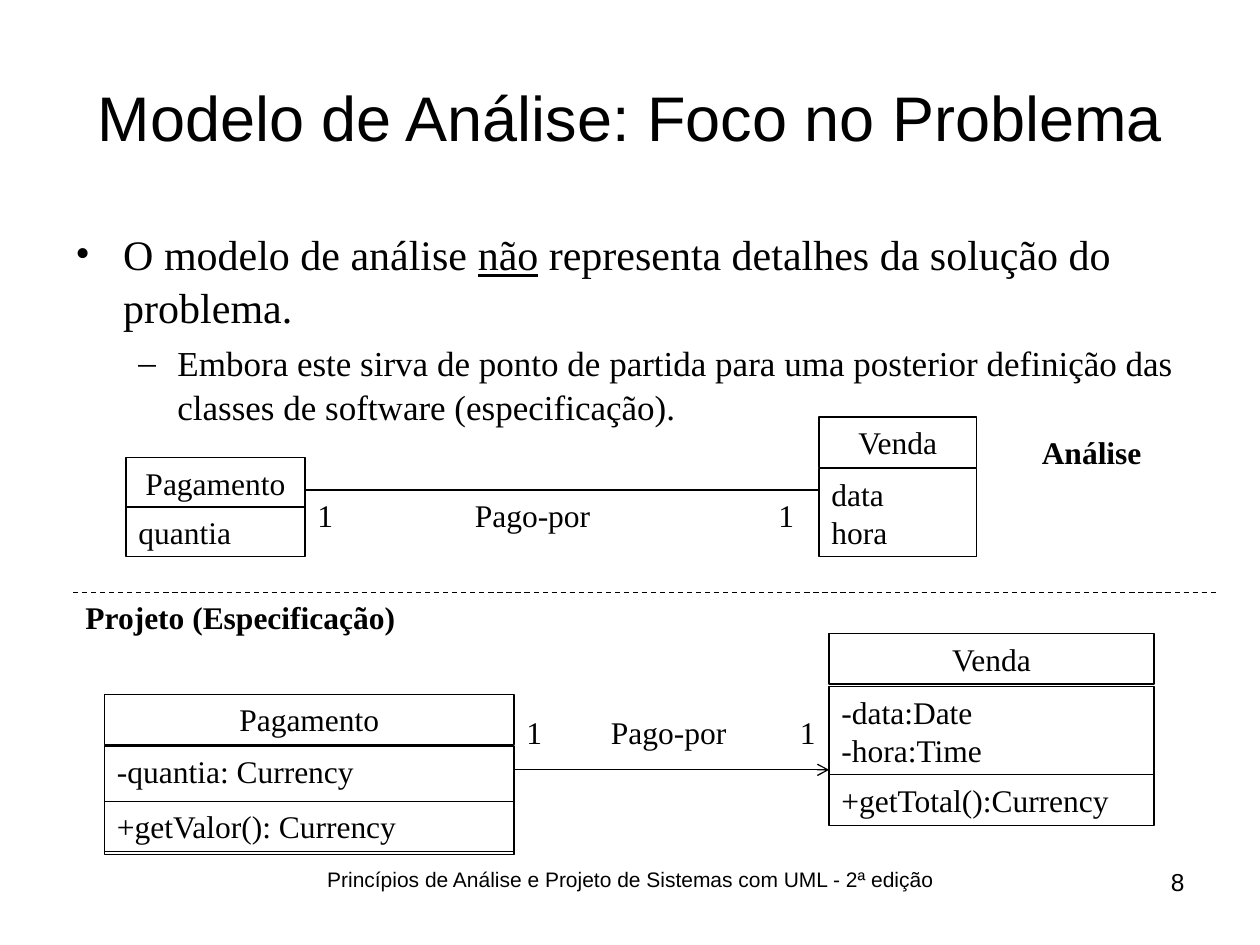
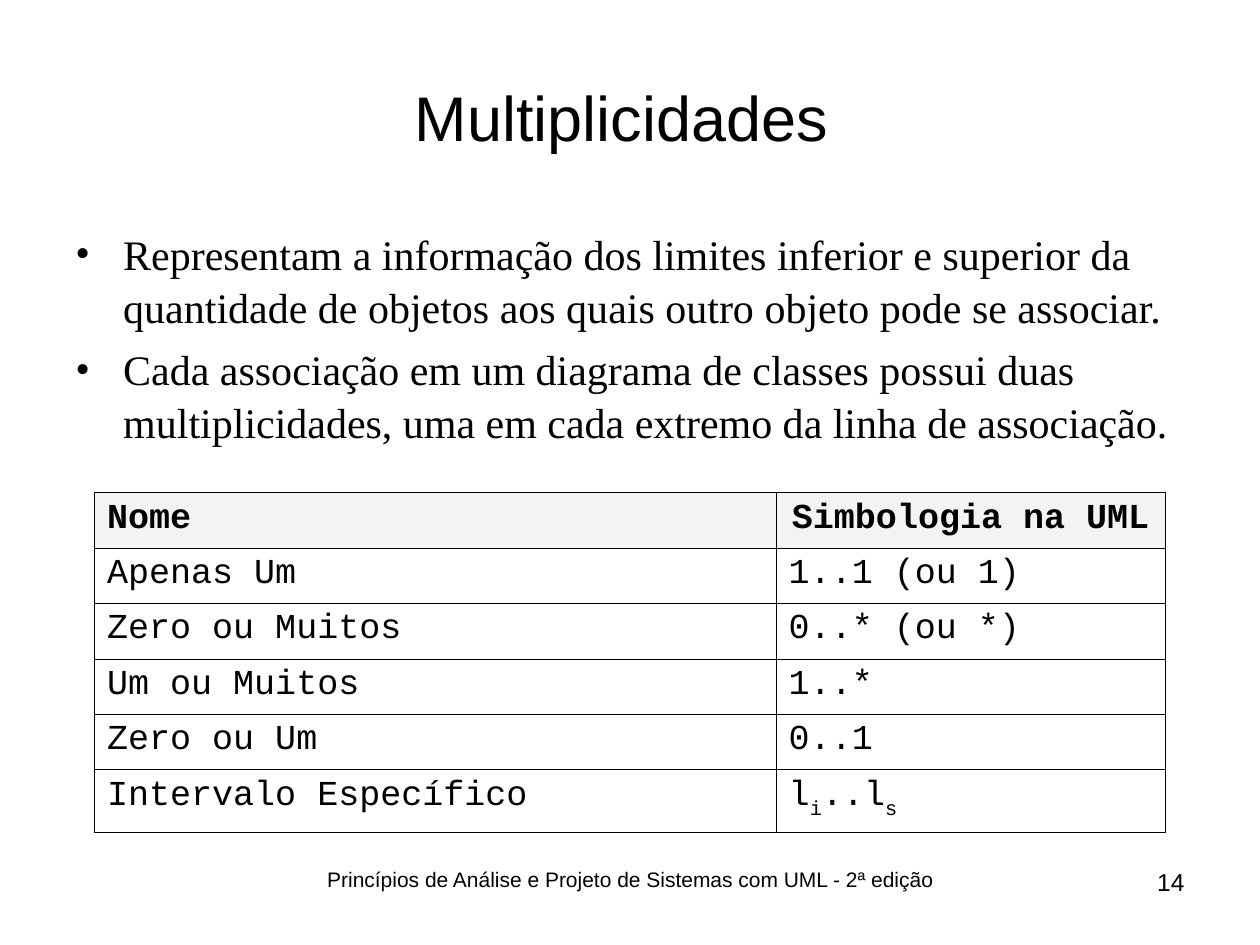
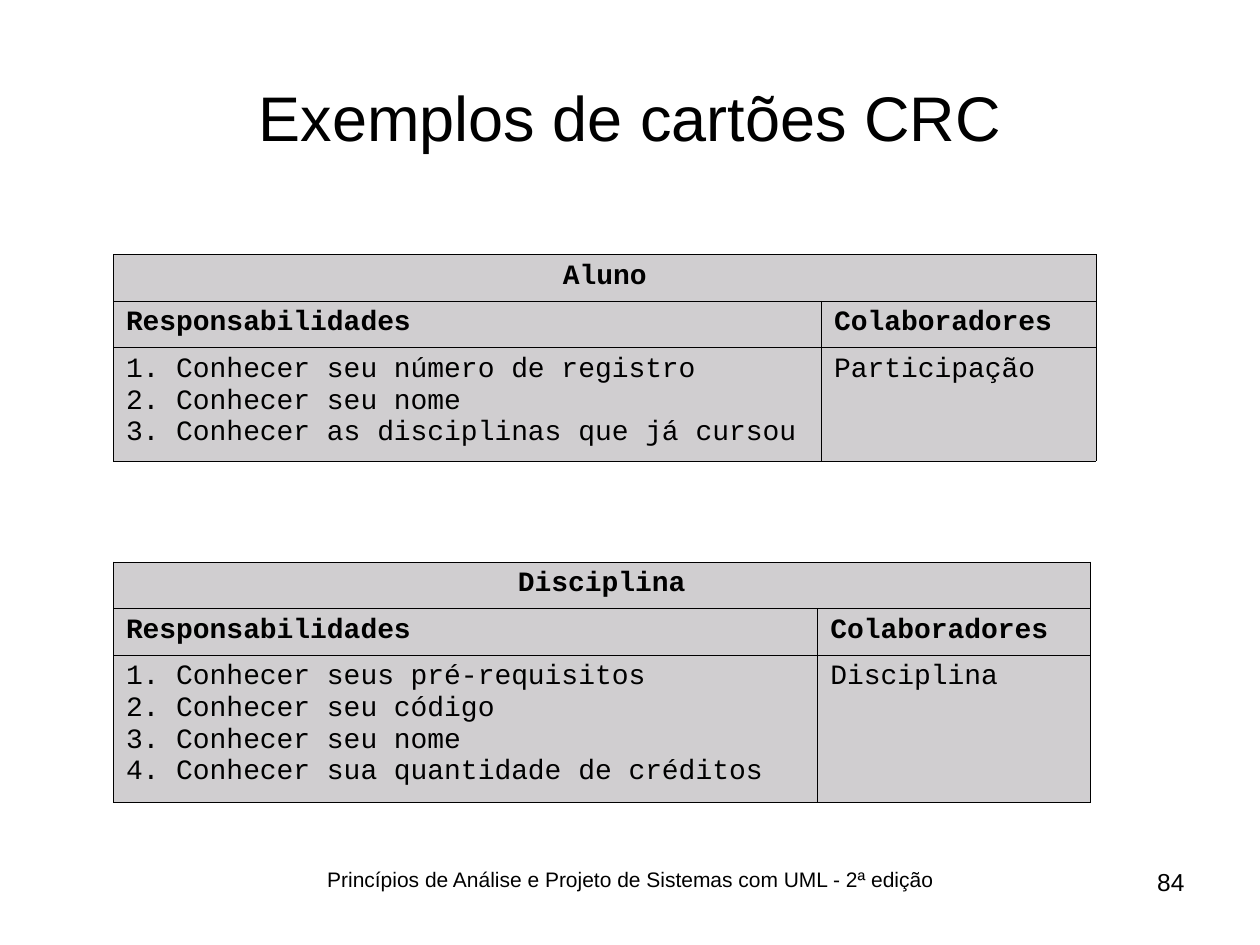
from dataclasses import dataclass, field
from typing import NamedTuple

from lxml.etree import SubElement
from pptx import Presentation
from pptx.dml.color import RGBColor
from pptx.enum.dml import MSO_LINE
from pptx.enum.shapes import MSO_CONNECTOR, MSO_SHAPE
from pptx.enum.text import MSO_ANCHOR, MSO_AUTO_SIZE, PP_ALIGN
from pptx.oxml import parse_xml
from pptx.oxml.ns import nsdecls, qn
from pptx.util import Inches, Pt

BLACK = RGBColor(0x00, 0x00, 0x00)
HEADER_GREY = RGBColor(0xF3, 0xF3, 0xF3)
CARD_GREY = RGBColor(0xD0, 0xCE, 0xD0)

TITLE = {"name": "Arial", "size": Pt(36)}
FOOTER = {"name": "Arial", "size": Pt(12)}
PAGE_NUMBER = {"name": "Arial", "size": Pt(14)}
DIAGRAM = {"name": "Times New Roman", "size": Pt(18)}
HEADING = DIAGRAM | {"bold": True}
TABLE = {"name": "Courier New", "size": Pt(20), "bold": False}
CARD = TABLE | {"size": Pt(16)}

FOOTER_TEXT = "Princípios de Análise e Projeto de Sistemas com UML - 2ª edição"
LINE_WIDTH = Pt(0.75)
LABEL_HEIGHT = 0.4


class Span(NamedTuple):
    text: str
    underline: bool = False
    subscript: bool = False


class Level(NamedTuple):
    bullet: str
    indent: float
    hanging: float
    space: float
    style: dict


TOPIC = Level("•", 0.38, 0.38, 6, {"name": "Times New Roman", "size": Pt(24)})
DETAIL = Level("–", 0.81, 0.31, 5, {"name": "Times New Roman", "size": Pt(20)})


class Section(NamedTuple):
    top: float
    height: float
    lines: list


class ClassBox(NamedTuple):
    """The first section holds the class name, the others its members."""
    left: float
    width: float
    sections: list


class Label(NamedTuple):
    text: str
    left: float
    top: float
    width: float
    style: dict = DIAGRAM


class Link(NamedTuple):
    left: float
    right: float
    y: float
    arrow: bool = False
    dashed: bool = False


@dataclass
class Card:
    name: str
    top: float
    columns: list
    duties: list
    partner: str
    row_heights: list = field(default_factory=list)


# Text
def write_spans(para, spans: list, style: dict) -> None:
    for item in spans:
        part = item if isinstance(item, Span) else Span(item)
        span = para.add_run()
        span.text = part.text
        for key, value in style.items():
            setattr(span.font, key, value)
        span.font.color.rgb = BLACK
        if part.underline:
            span.font.underline = True
        if part.subscript:
            span._r.get_or_add_rPr().set("baseline", "-30000")


def prepare_frame(frame) -> None:
    frame.word_wrap = True
    frame.auto_size = MSO_AUTO_SIZE.NONE
    frame.vertical_anchor = MSO_ANCHOR.TOP


def add_text(page, text: str, left: float, top: float, width: float, height: float,
             style: dict, align=PP_ALIGN.LEFT) -> None:
    box = page.shapes.add_textbox(Inches(left), Inches(top), Inches(width), Inches(height))
    prepare_frame(box.text_frame)
    para = box.text_frame.paragraphs[0]
    para.alignment = align
    write_spans(para, [text], style)


def add_body(page, items: list) -> None:
    box = page.shapes.add_textbox(Inches(0.5), Inches(1.75), Inches(9), Inches(4.95))
    frame = box.text_frame
    prepare_frame(frame)
    for index, (level, spans) in enumerate(items):
        para = frame.add_paragraph() if index else frame.paragraphs[0]
        para.line_spacing = 1.04
        if index:
            para.space_before = Pt(level.space)
        properties = para._p.get_or_add_pPr()
        properties.set("marL", str(Inches(level.indent)))
        properties.set("indent", str(-Inches(level.hanging)))
        SubElement(properties, qn("a:buFont")).set("typeface", "Times New Roman")
        SubElement(properties, qn("a:buChar")).set("char", level.bullet)
        write_spans(para, spans, level.style)


# Page frame: title, footer and page number
def add_page(deck, title: str, number: int):
    page = deck.slides.add_slide(deck.slide_layouts[5])
    box = page.shapes.title
    box.left, box.top, box.width, box.height = map(Inches, (0.5, 0.3, 9, 1.25))
    prepare_frame(box.text_frame)
    box.text_frame.vertical_anchor = MSO_ANCHOR.MIDDLE
    para = box.text_frame.paragraphs[0]
    para.alignment = PP_ALIGN.CENTER
    write_spans(para, [title], TITLE)
    add_text(page, FOOTER_TEXT, 1.92, 6.83, 6.17, 0.52, FOOTER, PP_ALIGN.CENTER)
    add_text(page, str(number), 8.17, 6.83, 1.33, 0.52, PAGE_NUMBER, PP_ALIGN.RIGHT)
    return page


# Class diagram
def add_class_box(page, class_box: ClassBox) -> None:
    for index, section in enumerate(class_box.sections):
        box = page.shapes.add_shape(
            MSO_SHAPE.RECTANGLE, Inches(class_box.left), Inches(section.top),
            Inches(class_box.width), Inches(section.height))
        box.shadow.inherit = False
        box.fill.background()
        box.line.color.rgb = BLACK
        box.line.width = LINE_WIDTH
        prepare_frame(box.text_frame)
        para = box.text_frame.paragraphs[0]
        para.alignment = PP_ALIGN.LEFT if index else PP_ALIGN.CENTER
        for row, line in enumerate(section.lines):
            if row:
                para.add_line_break()
            write_spans(para, [line], DIAGRAM)


def add_link(page, link: Link) -> None:
    connector = page.shapes.add_connector(
        MSO_CONNECTOR.STRAIGHT, Inches(link.left), Inches(link.y),
        Inches(link.right), Inches(link.y))
    connector.line.color.rgb = BLACK
    connector.line.width = LINE_WIDTH
    if link.dashed:
        connector.line.dash_style = MSO_LINE.DASH
    if link.arrow:
        SubElement(connector.line._get_or_add_ln(), qn("a:tailEnd")).set("type", "arrow")
    SubElement(connector._element.spPr, qn("a:effectLst"))


# Tables
def add_grid(page, left: float, top: float, columns: list, rows: list):
    grid = page.shapes.add_table(
        len(rows), len(columns), Inches(left), Inches(top),
        Inches(sum(columns)), Inches(sum(rows))).table
    grid.first_row = grid.horz_banding = False
    for column, width in zip(grid.columns, columns):
        column.width = Inches(width)
    for row, height in zip(grid.rows, rows):
        row.height = Inches(height)
    return grid


def fill_cell(cell, paragraphs: list, style: dict, align=PP_ALIGN.LEFT, fill=None) -> None:
    if fill is None:
        cell.fill.background()
    else:
        cell.fill.solid()
        cell.fill.fore_color.rgb = fill
    properties = cell._tc.get_or_add_tcPr()
    for index, side in enumerate(("lnL", "lnR", "lnT", "lnB")):
        properties.insert(index, parse_xml(
            f'<a:{side} {nsdecls("a")} w="{Pt(0.45)}"><a:solidFill>'
            f'<a:srgbClr val="{BLACK}"/></a:solidFill></a:{side}>'))
    for index, spans in enumerate(paragraphs):
        frame = cell.text_frame
        para = frame.add_paragraph() if index else frame.paragraphs[0]
        para.alignment = align
        write_spans(para, spans, style)


def add_card(page, card: Card) -> None:
    grid = add_grid(page, 0.9, card.top, card.columns, card.row_heights)
    bold = CARD | {"bold": True}
    grid.cell(0, 0).merge(grid.cell(0, 1))
    fill_cell(grid.cell(0, 0), [[card.name]], bold, PP_ALIGN.CENTER, CARD_GREY)
    fill_cell(grid.cell(0, 1), [], bold, fill=CARD_GREY)
    for column, heading in enumerate(("Responsabilidades", "Colaboradores")):
        fill_cell(grid.cell(1, column), [[heading]], bold, fill=CARD_GREY)
    duties = [[f"{number}. {duty}"] for number, duty in enumerate(card.duties, 1)]
    fill_cell(grid.cell(2, 0), duties, CARD, fill=CARD_GREY)
    fill_cell(grid.cell(2, 1), [[card.partner]], CARD, fill=CARD_GREY)


# Slide content
CLASS_BOXES = [
    ClassBox(6.5, 1.25, [Section(3.31, 0.4, ["Venda"]),
                         Section(3.72, 0.7, ["data", "hora"])]),
    ClassBox(6.58, 2.58, [Section(5.03, 0.4, ["Venda"]),
                          Section(5.45, 0.7, ["-data:Date", "-hora:Time"]),
                          Section(6.15, 0.4, ["+getTotal():Currency"])]),
    ClassBox(1, 1.42, [Section(3.63, 0.4, ["Pagamento"]),
                       Section(4.02, 0.4, ["quantia"])]),
    ClassBox(0.83, 3.25, [Section(5.51, 0.4, ["Pagamento"]),
                          Section(5.92, 0.86, ["-quantia: Currency"]),
                          Section(6.36, 0.4, ["+getValor(): Currency"])]),
]
LINKS = [
    Link(2.42, 6.5, 3.89),
    Link(4.08, 6.58, 6.11, arrow=True),
    Link(0.58, 9.67, 4.7, dashed=True),
]
LABELS = [
    Label("1", 2.42, 3.89, 0.33),
    Label("1", 6.08, 3.89, 0.33),
    Label("Pago-por", 3.67, 3.89, 1.42),
    Label("1", 4.08, 5.61, 0.33),
    Label("1", 6.25, 5.61, 0.33),
    Label("Pago-por", 4.75, 5.61, 1.42),
    Label("Projeto (Especificação)", 0.58, 4.7, 4, HEADING),
    Label("Análise", 8.17, 3.39, 1.5, HEADING),
]
MULTIPLICITIES = [
    ("Nome", ["Simbologia na UML"]),
    ("Apenas Um", ["1..1 (ou 1)"]),
    ("Zero ou Muitos", ["0..* (ou *)"]),
    ("Um ou Muitos", ["1..*"]),
    ("Zero ou Um", ["0..1"]),
    ("Intervalo Específico",
     ["l", Span("i", subscript=True), "..l", Span("s", subscript=True)]),
]
CARDS = [
    Card("Aluno", 2.02, [5.62, 2.18],
         ["Conhecer seu número de registro", "Conhecer seu nome",
          "Conhecer as disciplinas que já cursou"],
         "Participação", [0.37, 0.37, 0.9]),
    Card("Disciplina", 4.46, [5.59, 2.16],
         ["Conhecer seus pré-requisitos", "Conhecer seu código",
          "Conhecer seu nome", "Conhecer sua quantidade de créditos"],
         "Disciplina", [0.37, 0.37, 1.17]),
]


def build_analysis(deck) -> None:
    page = add_page(deck, "Modelo de Análise: Foco no Problema", 8)
    add_body(page, [
        (TOPIC, ["O modelo de análise ", Span("não", underline=True),
                 " representa detalhes da solução do problema."]),
        (DETAIL, ["Embora este sirva de ponto de partida para uma posterior "
                  "definição das classes de software (especificação)."]),
    ])
    for class_box in CLASS_BOXES:
        add_class_box(page, class_box)
    for link in LINKS:
        add_link(page, link)
    for label in LABELS:
        add_text(page, label.text, label.left, label.top, label.width,
                 LABEL_HEIGHT, label.style)


def build_multiplicities(deck) -> None:
    page = add_page(deck, "Multiplicidades ", 14)
    add_body(page, [
        (TOPIC, ["Representam a informação dos limites inferior e superior da "
                 "quantidade de objetos aos quais outro objeto pode se associar."]),
        (TOPIC, ["Cada associação em um diagrama de classes possui duas "
                 "multiplicidades, uma em cada extremo da linha de associação."]),
    ])
    grid = add_grid(page, 0.75, 3.91, [5.41, 3.09], [0.44] * 5 + [0.5])
    for row, (name, symbol) in enumerate(MULTIPLICITIES):
        is_header = row == 0
        style = TABLE | {"bold": is_header}
        fill = HEADER_GREY if is_header else None
        symbol_align = PP_ALIGN.CENTER if is_header else PP_ALIGN.LEFT
        fill_cell(grid.cell(row, 0), [[name]], style, PP_ALIGN.JUSTIFY, fill)
        fill_cell(grid.cell(row, 1), [symbol], style, symbol_align, fill)


def build_cards(deck) -> None:
    page = add_page(deck, "Exemplos de cartões CRC", 84)
    for card in CARDS:
        add_card(page, card)


def main() -> None:
    deck = Presentation()
    deck.slide_width, deck.slide_height = Inches(10), Inches(7.5)
    build_analysis(deck)
    build_multiplicities(deck)
    build_cards(deck)
    deck.save("out.pptx")


if __name__ == "__main__":
    main()
